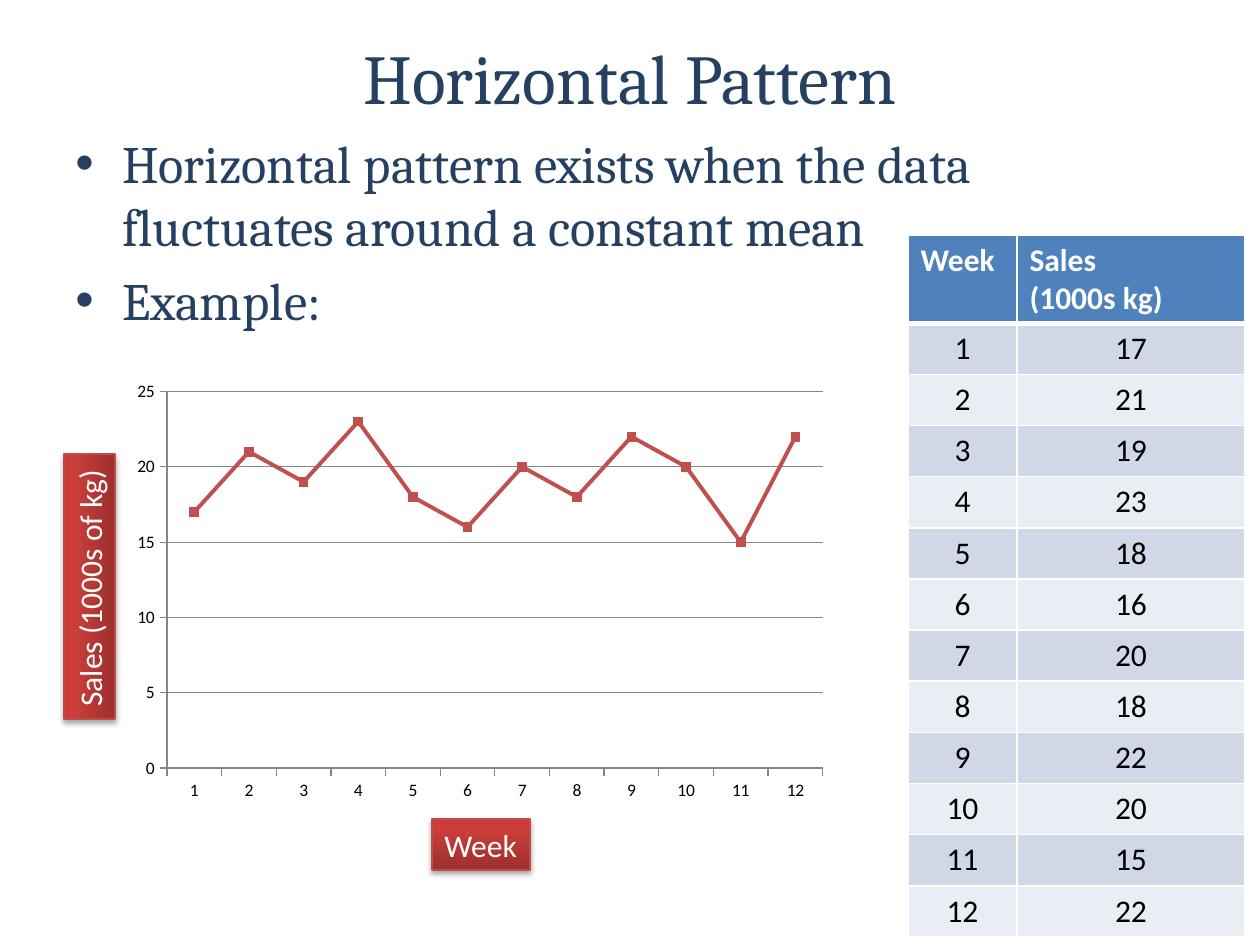
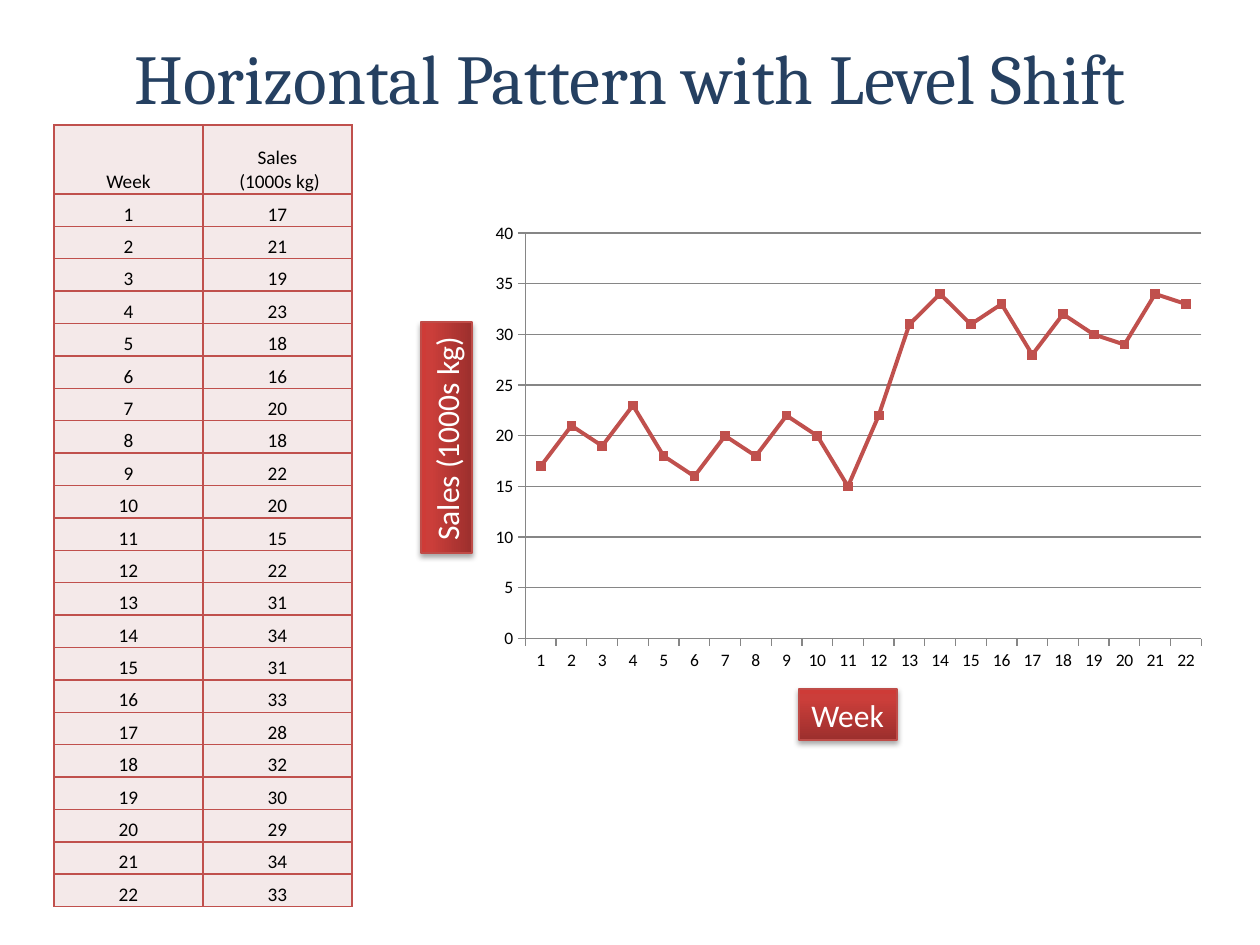
from lxml import etree
from pptx import Presentation
from pptx import util as u
from pptx.chart.data import CategoryChartData
from pptx.dml.color import RGBColor
from pptx.enum import chart as ch
from pptx.enum import shapes, text
from pptx.oxml import parse_xml
from pptx.oxml.ns import nsdecls, qn

SCALE = 914400 / 126
NAVY = RGBColor(0x25, 0x40, 0x61)
WHITE = RGBColor(0xFF, 0xFF, 0xFF)
BLACK = RGBColor(0, 0, 0)
BLUE = RGBColor(0x4F, 0x81, 0xBD)
BAND_DARK = RGBColor(0xD0, 0xD8, 0xE8)
BAND_LIGHT = RGBColor(0xE9, 0xED, 0xF4)
RED = RGBColor(0xC0, 0x50, 0x4D)
PINK = RGBColor(0xF4, 0xE9, 0xE9)
LABEL_EDGE = RGBColor(0xBF, 0x4C, 0x48)
GRID = RGBColor(0x86, 0x86, 0x86)
LABEL_STOPS = [(0, "9C2F2D"), (80000, "CB3E3A"), (100000, "CE3B37")]
HEADING_FONT, BODY_FONT = "Cambria", "Calibri"

SALES = [17, 21, 19, 23, 18, 16, 20, 18, 22, 20, 15, 22,
         31, 34, 31, 33, 28, 32, 30, 29, 34, 33]
FIRST_LEVEL = SALES[:12]


def px(*lengths):
    return [u.Emu(round(length * SCALE)) for length in lengths]


class Deck:
    def __init__(self):
        self.file = Presentation()
        self.file.slide_width, self.file.slide_height = u.Inches(10), u.Inches(7.5)
        self.slide = None

    def new_slide(self, title):
        self.slide = self.file.slides.add_slide(self.file.slide_layouts[6])
        frame = self.text_box(63, 38, 1134, 77, title, 40)
        frame.vertical_anchor = text.MSO_ANCHOR.MIDDLE
        frame.paragraphs[0].alignment = text.PP_ALIGN.CENTER

    def style(self, frame, size, color, font, bold=False):
        for paragraph in frame.paragraphs:
            for run in paragraph.runs:
                run.font.size, run.font.name = u.Pt(size), font
                run.font.color.rgb, run.font.bold = color, bold

    def text_box(self, x, y, w, h, words, size):
        frame = self.slide.shapes.add_textbox(*px(x, y, w, h)).text_frame
        frame.word_wrap = True
        frame.text = words
        self.style(frame, size, NAVY, HEADING_FONT)
        return frame

    def bullets(self, x, y, w, h, items):
        frame = self.text_box(x, y, w, h, "\n".join(items), 30)
        indent = px(47)[0]
        for paragraph in frame.paragraphs:
            paragraph.space_before = u.Pt(6)
            props = paragraph._p.get_or_add_pPr()
            props.set("marL", str(indent))
            props.set("indent", str(-indent))
            etree.SubElement(props, qn("a:buFont")).set("typeface", "Arial")
            etree.SubElement(props, qn("a:buChar")).set("char", "•")

    def label(self, x, y, w, words, rotation=0):
        box = self.slide.shapes.add_shape(shapes.MSO_SHAPE.RECTANGLE, *px(x, y, w, 51))
        box.rotation = rotation
        box.line.color.rgb, box.line.width = LABEL_EDGE, u.Pt(0.75)
        box.shadow.inherit = False
        props = box._element.spPr
        stops = "".join(f'<a:gs pos="{pos}"><a:srgbClr val="{color}"/></a:gs>'
                        for pos, color in LABEL_STOPS)
        props.find(qn("a:prstGeom")).addnext(parse_xml(
            f'<a:gradFill {nsdecls("a")} rotWithShape="1"><a:gsLst>{stops}</a:gsLst>'
            '<a:lin ang="16200000" scaled="0"/></a:gradFill>'))
        props.find(qn("a:effectLst")).append(parse_xml(
            f'<a:outerShdw {nsdecls("a")} blurRad="40000" dist="23000" dir="5400000" '
            'rotWithShape="0"><a:srgbClr val="000000"><a:alpha val="35000"/>'
            '</a:srgbClr></a:outerShdw>'))
        frame = box.text_frame
        frame.text = words
        frame.word_wrap = False
        frame.auto_size = text.MSO_AUTO_SIZE.SHAPE_TO_FIT_TEXT
        frame.paragraphs[0].alignment = text.PP_ALIGN.LEFT
        self.style(frame, 18, WHITE, BODY_FONT)

    def borders(self, cell, color, bottom=1):
        props = cell._tc.get_or_add_tcPr()
        widths = {"L": 1, "R": 1, "T": 1, "B": bottom}
        for index, (side, width) in enumerate(widths.items()):
            props.insert(index, parse_xml(
                f'<a:ln{side} {nsdecls("a")} w="{u.Pt(width)}"><a:solidFill>'
                f'<a:srgbClr val="{color}"/></a:solidFill></a:ln{side}>'))

    def table(self, x, y, columns, h, header_height, headers, sales):
        rows = [headers] + [(str(week), str(value)) for week, value in enumerate(sales, 1)]
        grid = self.slide.shapes.add_table(
            len(rows), len(headers), *px(x, y, sum(columns), h)).table
        grid.first_row = grid.horz_banding = False
        for column, width in zip(grid.columns, px(*columns)):
            column.width = width
        row_height = (h - header_height) / len(sales)
        for r, row in enumerate(rows):
            grid.rows[r].height = px(row_height if r else header_height)[0]
            for c, words in enumerate(row):
                cell = grid.cell(r, c)
                cell.text_frame.text = words
                yield r, cell

    def banded_table(self, *args):
        for r, cell in self.table(*args):
            cell.fill.solid()
            cell.fill.fore_color.rgb = (BAND_DARK if r % 2 else BAND_LIGHT) if r else BLUE
            self.borders(cell, WHITE, 1 if r else 3)
            self.style(cell.text_frame, 18, BLACK if r else WHITE, BODY_FONT, not r)
            if r:
                cell.text_frame.paragraphs[0].alignment = text.PP_ALIGN.CENTER

    def ruled_table(self, *args):
        for _, cell in self.table(*args):
            cell.fill.solid()
            cell.fill.fore_color.rgb = PINK
            cell.margin_left = cell.margin_right = cell.margin_top = cell.margin_bottom = 0
            cell.vertical_anchor = text.MSO_ANCHOR.BOTTOM
            self.borders(cell, RED)
            self.style(cell.text_frame, 11, BLACK, BODY_FONT)
            for paragraph in cell.text_frame.paragraphs:
                paragraph.alignment = text.PP_ALIGN.CENTER

    def line_chart(self, x, y, w, h, kind, sales, top):
        data = CategoryChartData()
        data.categories = [str(week) for week in range(1, len(sales) + 1)]
        data.add_series("Series 1", sales)
        chart = self.slide.shapes.add_chart(kind, *px(x, y, w, h), data).chart
        chart.has_legend = chart.has_title = False
        chart.font.name, chart.font.size = BODY_FONT, u.Pt(10)
        chart.font.color.rgb = BLACK
        plot = chart.plots[0]
        plot.vary_by_categories = False
        values = chart.value_axis
        values.minimum_scale, values.maximum_scale, values.major_unit = 0, top, 5
        values.has_major_gridlines = True
        for axis in (chart.category_axis, values):
            axis.major_tick_mark = ch.XL_TICK_MARK.OUTSIDE
        for rule in (chart.category_axis, values, values.major_gridlines):
            rule.format.line.color.rgb = GRID
            rule.format.line.width = u.Pt(0.75)
        series = plot.series[0]
        series.smooth = False
        series.format.line.color.rgb, series.format.line.width = RED, u.Pt(2.25)
        marker = series.marker
        marker.style, marker.size = ch.XL_MARKER_STYLE.SQUARE, 5
        marker.format.fill.solid()
        marker.format.fill.fore_color.rgb = RED
        marker.format.line.color.rgb = RED


deck = Deck()

deck.new_slide("Horizontal Pattern")
deck.bullets(63, 125, 1134, 774, [
    "Horizontal pattern exists when the data fluctuates around a constant mean",
    "Example:"])
deck.line_chart(123, 373, 714, 436, ch.XL_CHART_TYPE.LINE_MARKERS_STACKED, FIRST_LEVEL, 25)
deck.banded_table(908, 235, (109, 228), 702, 88, ("Week", "Sales \n(1000s kg)"), FIRST_LEVEL)
deck.label(-43, 561, 265, "Sales (1000s of kg)", 270)
deck.label(432, 819, 98, "Week")

deck.new_slide("Horizontal Pattern with Level Shift")
deck.ruled_table(54, 125, (149, 149), 782, 69, ("Week", "Sales\n (1000s kg)"), SALES)
deck.line_chart(481, 214, 735, 466, ch.XL_CHART_TYPE.LINE_MARKERS, SALES, 40)
deck.label(331, 412, 231, "Sales (1000s kg)", 270)
deck.label(799, 689, 98, "Week")

deck.file.save("out.pptx")
